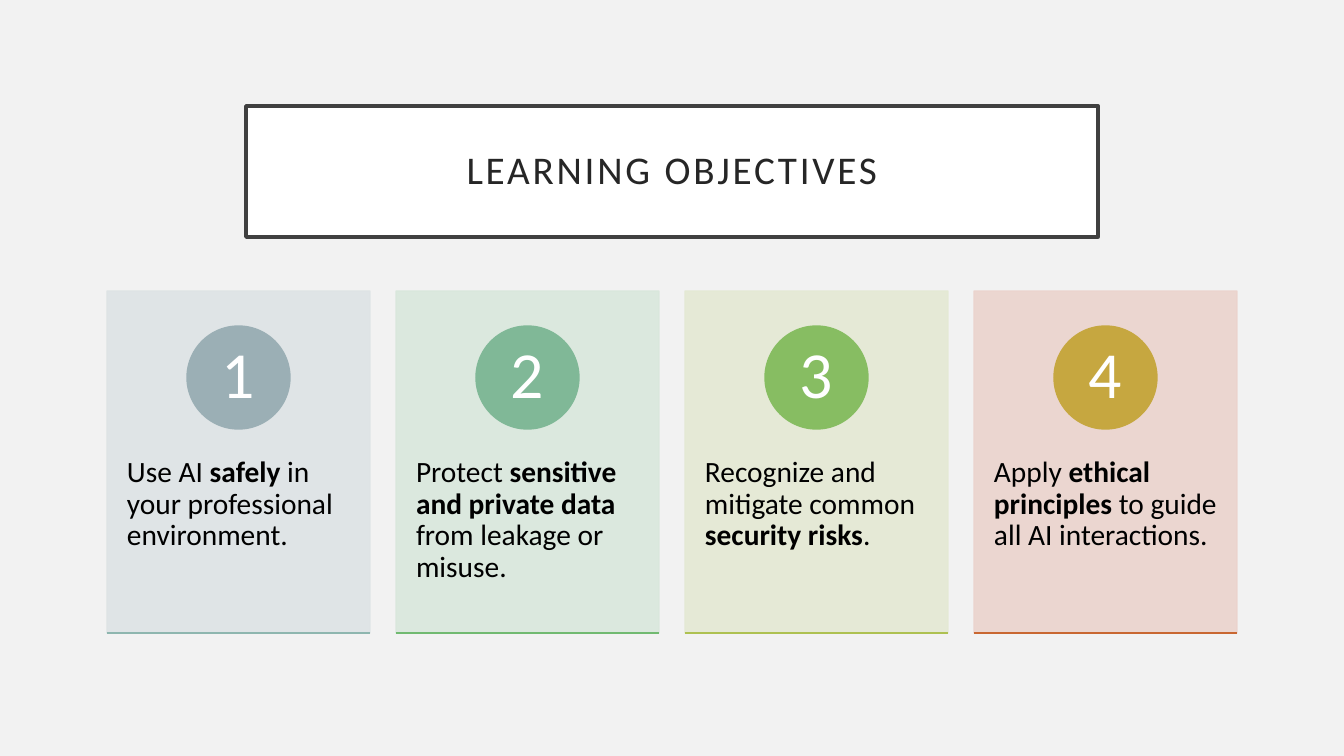
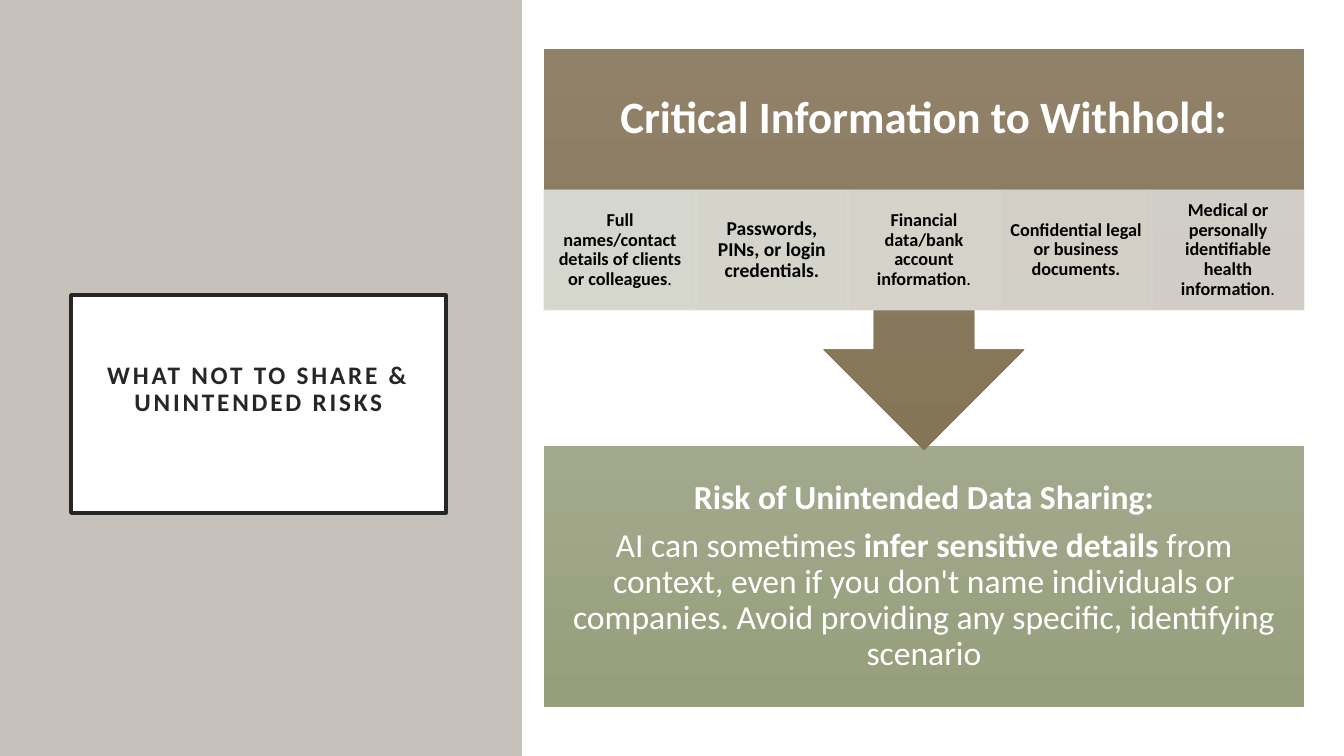
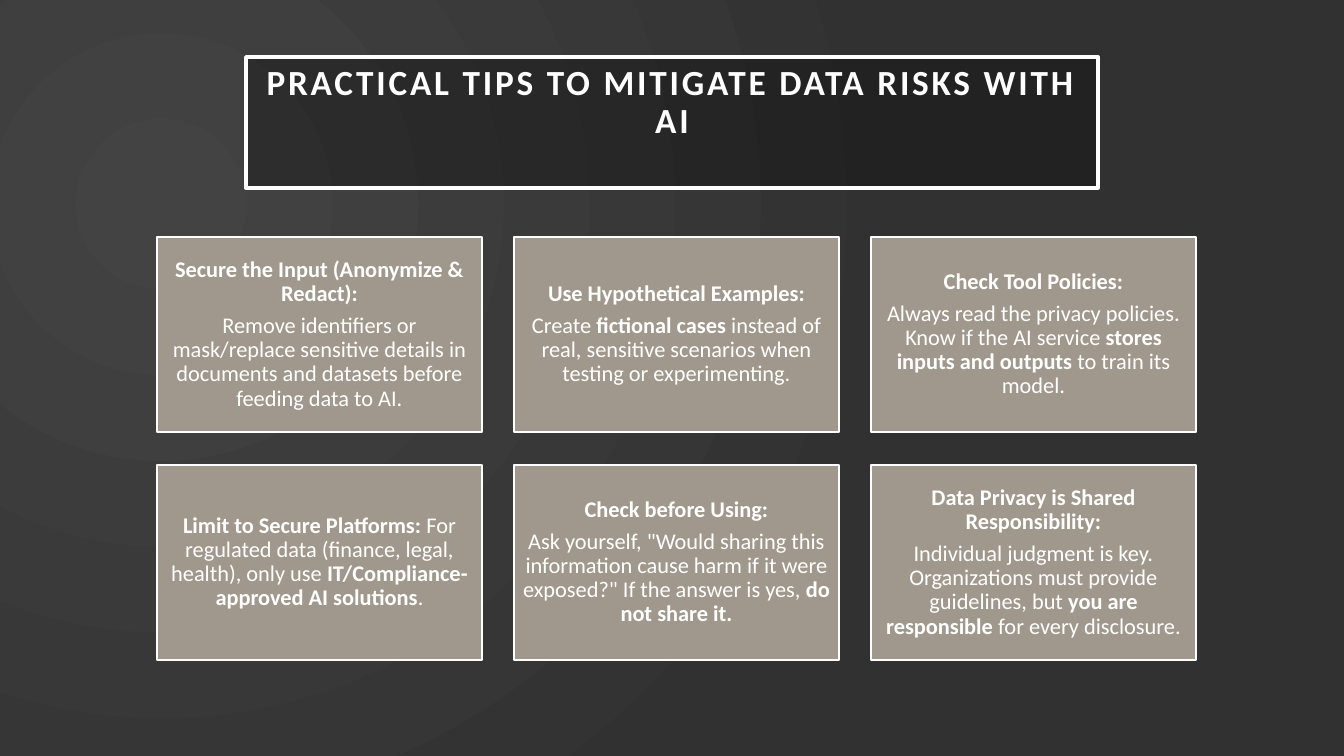
from lxml.etree import SubElement
from pptx import Presentation
from pptx.dml.color import RGBColor
from pptx.enum.shapes import MSO_CONNECTOR as Connector, MSO_SHAPE as Shape
from pptx.enum.text import MSO_ANCHOR as Anchor, PP_ALIGN as Align
from pptx.oxml.ns import qn
from pptx.util import Emu, Pt

PX = 914400 / 100.8
FONT = "Calibri"

WHITE = RGBColor(0xFF, 0xFF, 0xFF)
BLACK = RGBColor(0x00, 0x00, 0x00)
INK = RGBColor(0x26, 0x26, 0x26)
FRAME = RGBColor(0x40, 0x40, 0x40)
PALE_GRAY = RGBColor(0xF2, 0xF2, 0xF2)
STONE = RGBColor(0xC6, 0xC1, 0xBA)
TAUPE = RGBColor(0xA0, 0x98, 0x8C)
DARK_GLOW = [RGBColor(0x43, 0x43, 0x43), RGBColor(0x31, 0x31, 0x31)]
BROWN_FADE = [RGBColor(0x90, 0x82, 0x69), RGBColor(0x84, 0x75, 0x57)]
GREEN_FADE = [RGBColor(0xA3, 0xA9, 0x8C), RGBColor(0x97, 0x9E, 0x7C)]


def add_box(slide, kind, place, fill, line=None, line_width=1, opacity=100):
    shape = slide.shapes.add_shape(kind, *[Emu(round(value * PX)) for value in place])
    shape.shadow.inherit = False
    if isinstance(fill, list):
        shape.fill.gradient()
        shape.fill.gradient_angle = 270
        for stop, color in zip(shape.fill.gradient_stops, fill):
            stop.color.rgb = color
    else:
        shape.fill.solid()
        shape.fill.fore_color.rgb = fill
    if line is None:
        shape.line.fill.background()
    else:
        shape.line.color.rgb = line
        shape.line.width = Pt(line_width)
    if opacity < 100:
        targets = [shape.fill.fore_color] if line == WHITE else [shape.fill.fore_color, shape.line.color]
        names = {str(target.rgb) for target in targets}
        for color in list(shape.element.spPr.iter(qn("a:srgbClr"))):
            if color.get("val") in names:
                SubElement(color, qn("a:alpha")).set("val", str(opacity * 1000))
    return shape


def add_text(shape, lines, size, color, insets, align=Align.CENTER, anchor=Anchor.MIDDLE):
    frame = shape.text_frame
    frame.word_wrap = True
    frame.vertical_anchor = anchor
    frame.margin_left, frame.margin_top, frame.margin_right, frame.margin_bottom = [
        Emu(round(value * PX)) for value in insets
    ]
    for index, line in enumerate(lines):
        paragraph = frame.add_paragraph() if index else frame.paragraphs[0]
        paragraph.alignment = align
        paragraph.line_spacing = 0.9
        if index:
            paragraph.space_before = Pt(round(size * 0.35, 1))
        for part, words in enumerate(line.split("**")):
            if words:
                run = paragraph.add_run()
                run.text = words
                run.font.name = FONT
                run.font.size = Pt(size)
                run.font.bold = part % 2 == 1
                run.font.color.rgb = color


presentation = Presentation()
presentation.slide_width = Emu(round(1344 * PX))
presentation.slide_height = Emu(round(756 * PX))
blank = presentation.slide_layouts[6]
objectives, withhold, tips = [presentation.slides.add_slide(blank) for _ in range(3)]

for slide, color in [(objectives, PALE_GRAY), (withhold, WHITE)]:
    slide.background.fill.solid()
    slide.background.fill.fore_color.rgb = color

glow = tips.background.fill
glow.gradient()
for stop, color in zip(glow.gradient_stops, DARK_GLOW):
    stop.color.rgb = color
gradient = next(tips.element.iter(qn("a:gradFill")))
gradient.remove(gradient.find(qn("a:lin")))
circle = SubElement(gradient, qn("a:path"), {"path": "circle"})
SubElement(circle, qn("a:fillToRect"), {"l": "50000", "t": "55000", "r": "125000", "b": "100000"})

add_box(withhold, Shape.RECTANGLE, (0, 0, 522, 756), STONE)

titles = [
    (objectives, (246, 106, 852, 131), "LEARNING OBJECTIVES", 28, INK, WHITE, FRAME, 100, (20, 20, 20, 20)),
    (withhold, (71, 295, 375, 218), "**WHAT NOT TO SHARE & UNINTENDED RISKS**", 18, INK, WHITE, INK, 100,
     (20, 20, 20, 48)),
    (tips, (246, 57, 852, 131), "**PRACTICAL TIPS TO MITIGATE DATA RISKS WITH AI**", 25.2, WHITE, BLACK, WHITE, 30,
     (20, 4, 20, 42)),
]
for slide, place, words, size, color, fill, line, opacity, insets in titles:
    title = add_box(slide, Shape.RECTANGLE, place, fill, line, 2.5, opacity)
    add_text(title, [words], size, color, insets)
    for properties in title.element.iter(qn("a:rPr")):
        properties.set("spc", "200")

objective_cards = [
    ("Use AI **safely** in your professional environment.", "DEE3E5", "9BAFB5", "8EB6AF"),
    ("Protect **sensitive and private data** from leakage or misuse.", "D9E7DC", "80B897", "71BA71"),
    ("Recognize and mitigate common **security risks**.", "E4E9D3", "87BD62", "AEC151"),
    ("Apply **ethical principles** to guide all AI interactions.", "EBD3CD", "C6A740", "C96731"),
]
CARD_TOP, CARD_WIDTH, CARD_HEIGHT, CARD_STEP = 291, 263, 342, 289
for index, (words, *codes) in enumerate(objective_cards):
    pale, strong, accent = [RGBColor.from_string(code) for code in codes]
    left = 107 + index * CARD_STEP
    card = add_box(objectives, Shape.RECTANGLE, (left, CARD_TOP, CARD_WIDTH, CARD_HEIGHT), pale, pale, 1, 90)
    add_text(card, [words], 21, BLACK, (20, 166, 20, 7), Align.LEFT, Anchor.TOP)
    badge = add_box(objectives, Shape.OVAL, (left + 80, CARD_TOP + 35, 103, 103), strong, strong)
    add_text(badge, [str(index + 1)], 47, WHITE, (8, 1, 8, 1))
    bottom = CARD_TOP + CARD_HEIGHT
    ends = [Emu(round(value * PX)) for value in (left, bottom, left + CARD_WIDTH, bottom)]
    rule = objectives.shapes.add_connector(Connector.STRAIGHT, *ends)
    rule.line.color.rgb = accent
    rule.line.width = Pt(1)
    SubElement(rule.element.spPr, qn("a:effectLst"))

risk = add_box(withhold, Shape.RECTANGLE, (544, 446, 760, 261), GREEN_FADE)
add_text(risk, [
    "**Risk of Unintended Data Sharing:**",
    "AI can sometimes **infer sensitive details** from context, even if you don't name individuals or companies. "
    "Avoid providing any specific, identifying scenario",
], 24, WHITE, (19, 19, 19, 19))

callout = add_box(withhold, Shape.DOWN_ARROW_CALLOUT, (544, 49, 760, 401), BROWN_FADE)
add_text(callout, ["**Critical Information to Withhold:**"], 32, WHITE, (25, 25, 25, 145))

withheld_items = [
    ("**Full names/contact details of clients or colleagues**.", 13, "DEE0D9"),
    ("**Passwords, PINs, or login credentials.**", 14, "DEDED7"),
    ("**Financial data/bank account information**.", 13, "DDDCD5"),
    ("**Confidential legal or business documents.**", 13, "DBD9D3"),
    ("**Medical or personally identifiable health information**.", 13, "D9D7D2"),
]
for index, (words, size, code) in enumerate(withheld_items):
    color = RGBColor.from_string(code)
    item = add_box(withhold, Shape.RECTANGLE, (544 + index * 152, 190, 152, 120), color, color, 0.5, 90)
    add_text(item, [words], size, BLACK, (10, 2, 10, 2))

tip_cards = [
    ["**Secure the Input (Anonymize & Redact):**",
     "Remove identifiers or mask/replace sensitive details in documents and datasets before feeding data to AI."],
    ["**Use Hypothetical Examples:**",
     "Create **fictional cases** instead of real, sensitive scenarios when testing or experimenting."],
    ["**Check Tool Policies:**",
     "Always read the privacy policies. Know if the AI service **stores inputs and outputs** to train its model."],
    ["**Limit to Secure Platforms:** For regulated data (finance, legal, health), only use "
     "**IT/Compliance-approved AI solutions**."],
    ["**Check before Using:**",
     "Ask yourself, \"Would sharing this information cause harm if it were exposed?\" If the answer is yes, "
     "**do not share it.**"],
    ["**Data Privacy is Shared Responsibility:**",
     "Individual judgment is key. Organizations must provide guidelines, but **you are responsible** "
     "for every disclosure."],
]
for index, lines in enumerate(tip_cards):
    row, column = divmod(index, 3)
    place = (157 + column * 357, 237 + row * 228, 325, 195)
    tip = add_box(tips, Shape.RECTANGLE, place, TAUPE, WHITE)
    add_text(tip, lines, 16, WHITE, (7, 7, 7, 7))

presentation.save("out.pptx")
